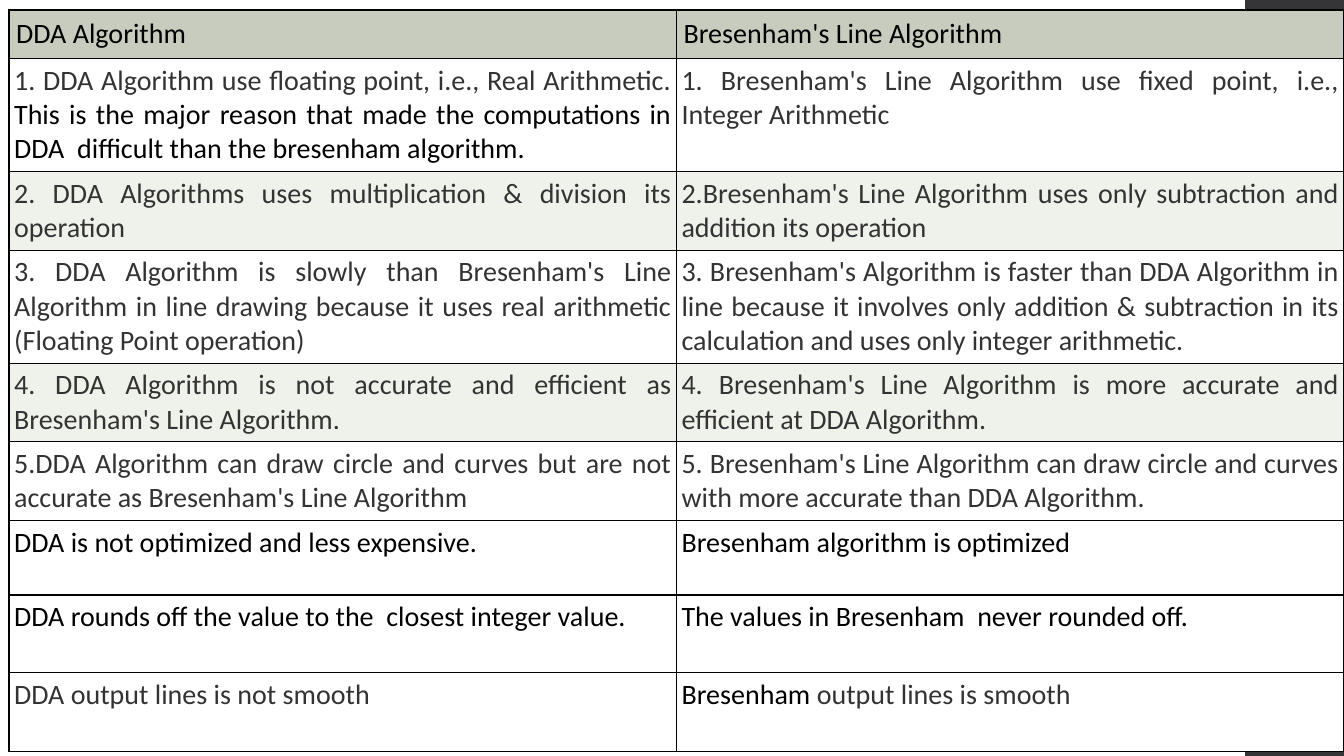
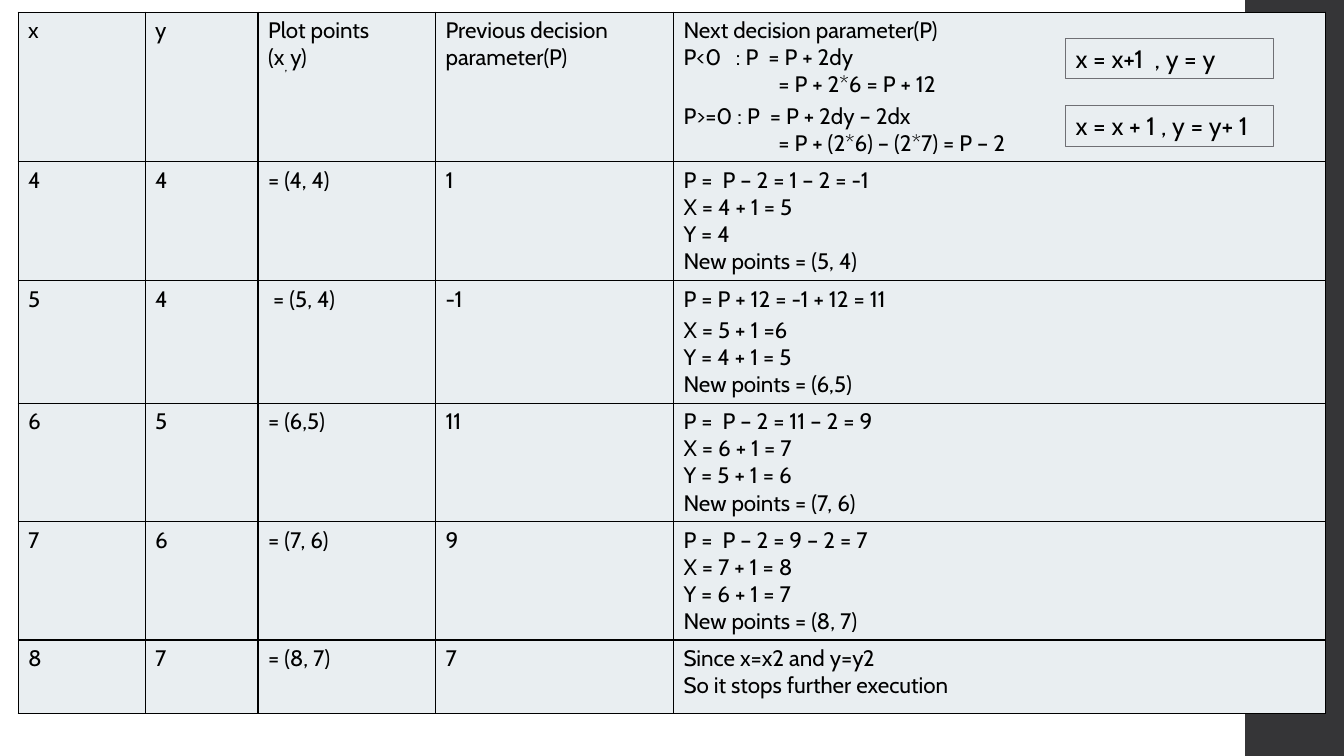
from dataclasses import dataclass
from lxml.etree import SubElement
from pptx import Presentation
from pptx.dml.color import RGBColor
from pptx.enum.shapes import MSO_SHAPE
from pptx.enum.text import PP_ALIGN
from pptx.oxml import parse_xml
from pptx.oxml.ns import nsdecls, qn
from pptx.util import Inches, Pt


@dataclass(frozen=True)
class Theme:
    ink: str = "000000"
    grey: str = "333333"
    band: str = "353537"
    frame: str = "6F6F74"
    head: str = "C7CCBE"
    white: str = "FFFFFF"
    tint: str = "EFF1EB"
    pale: str = "E9EEF1"
    prose: str = "Calibri"
    math: str = "Cabin"
    large: int = 20
    label: int = 18
    small: int = 16
    rule: int = 1


THEME = Theme()

DIFFS = [
    ("DDA Algorithm", "Bresenham's Line Algorithm"),
    ([("1. DDA Algorithm use floating point, i.e., Real Arithmetic.", "grey"),
      (" This is the major reason that made the computations in DDA  difficult than the bresenham algorithm.", "ink")],
     [("1. Bresenham's Line Algorithm use fixed point, i.e., Integer Arithmetic", "grey")]),
    ([("2. DDA Algorithms uses multiplication & division its operation", "grey")],
     [("2.Bresenham's Line Algorithm uses only subtraction and addition its operation", "grey")]),
    ([("3. DDA Algorithm is slowly than Bresenham's Line Algorithm in line drawing because it uses real arithmetic (Floating Point operation)", "grey")],
     [("3. Bresenham's Algorithm is faster than DDA Algorithm in line because it involves only addition & subtraction in its calculation and uses only integer arithmetic.", "grey")]),
    ([("4. DDA Algorithm is not accurate and efficient as Bresenham's Line Algorithm.", "grey")],
     [("4. Bresenham's Line Algorithm is more accurate and efficient at DDA Algorithm.", "grey")]),
    ([("5.DDA Algorithm can draw circle and curves but are not accurate as Bresenham's Line Algorithm", "grey")],
     [("5. Bresenham's Line Algorithm can draw circle and curves with more accurate than DDA Algorithm.", "grey")]),
    ("DDA is not optimized and less expensive.", "Bresenham algorithm is optimized"),
    ("DDA rounds off the value to the  closest integer value.", "The values in Bresenham  never rounded off."),
    ([("DDA output lines is not smooth", "grey")],
     [("Bresenham", "ink"), (" output lines is smooth", "grey")]),
]
DIFF_COLS = [6.62, 6.62]
DIFF_ROWS = [0.48, 1.12, 0.77, 1.12, 0.77, 0.77, 0.74, 0.77, 0.78]
DIFF_FILLS = [THEME.head] + [THEME.tint if n in (2, 4) else THEME.white for n in range(1, len(DIFFS))]

STEPS = [
    (["x"], ["y"],
     ["Plot points", [("(x", "ink"), (", ", "sub"), ("y)", "ink")]],
     ["Previous decision parameter(P)"],
     ["Next decision parameter(P)",
      "P<0\t: P  = P + 2dy",
      "= P + 2*6 = P + 12",
      "P>=0 : P  = P + 2dy – 2dx",
      "= P + (2*6) – (2*7) = P – 2"]),
    (["4"], ["4"], ["= (4, 4)"], ["1"],
     ["P =  P – 2 = 1 – 2 = -1", "X = 4 + 1 = 5", "Y = 4", "New points = (5, 4)"]),
    (["5"], ["4"], [" = (5, 4)"], ["-1"],
     ["P = P + 12 = -1 + 12 = 11", "X = 5 + 1 =6", "Y = 4 + 1 = 5", "New points = (6,5)"]),
    (["6"], ["5"], ["= (6,5)"], ["11"],
     ["P =  P – 2 = 11 – 2 = 9", "X = 6 + 1 = 7", "Y = 5 + 1 = 6", "New points = (7, 6)"]),
    (["7"], ["6"], ["= (7, 6)"], ["9"],
     ["P =  P – 2 = 9 – 2 = 7", "X = 7 + 1 = 8", "Y = 6 + 1 = 7", "New points = (8, 7)"]),
    (["8"], ["7"], ["= (8, 7)"], ["7"],
     ["Since x=x2 and y=y2", "So it stops further execution"]),
]
STEP_COLS = [1.26, 1.12, 1.76, 2.36, 6.47]
STEP_ROWS = [1.47, 1.18, 1.21, 1.17, 1.17, 0.73]
STEP_FILLS = [THEME.pale] * len(STEPS)

RULES = [(1.05, "x = x + 1 , y = y+ 1"), (0.38, "x = x+1  , y = y")]


def rgb(code):
    return RGBColor.from_string(code)


def write(para, text, face, size):
    parts = [(text, "ink")] if isinstance(text, str) else text
    for words, kind in parts:
        run = para.add_run()
        run.text = words
        run.font.name = face
        run.font.size = Pt(size)
        run.font.color.rgb = rgb(THEME.grey if kind == "grey" else THEME.ink)
        if kind == "sub":
            run.font._element.set("baseline", "-25000")


def border(cell):
    props = cell._tc.get_or_add_tcPr()
    for spot, side in enumerate("LRTB"):
        line = parse_xml(
            f'<a:ln{side} {nsdecls("a")} w="{Pt(THEME.rule)}"><a:solidFill>'
            f'<a:srgbClr val="{THEME.ink}"/></a:solidFill></a:ln{side}>')
        props.insert(spot, line)


def add_grid(slide, left, top, cols, rows, data, fills, fill_cell):
    frame = slide.shapes.add_table(
        len(rows), len(cols), Inches(left), Inches(top), Inches(sum(cols)), Inches(sum(rows)))
    grid = frame.table
    grid.first_row = grid.horz_banding = False
    for col, width in zip(grid.columns, cols):
        col.width = Inches(width)
    for row, height, texts, tone in zip(grid.rows, rows, data, fills):
        row.height = Inches(height)
        for cell, text in zip(row.cells, texts):
            cell.fill.solid()
            cell.fill.fore_color.rgb = rgb(tone)
            border(cell)
            fill_cell(cell, text, tone)


def fill_diff(cell, text, tone):
    pad = Inches(0.07 if tone == THEME.head else 0.05)
    cell.margin_left = cell.margin_right = cell.margin_top = cell.margin_bottom = pad
    para = cell.text_frame.paragraphs[0]
    para.alignment = PP_ALIGN.JUSTIFY
    write(para, text, THEME.prose, THEME.large)


def fill_step(cell, lines, tone):
    frame = cell.text_frame
    for n, text in enumerate(lines):
        para = frame.add_paragraph() if n else frame.paragraphs[0]
        write(para, text, THEME.math, THEME.small)
        if "P + 12" in text:
            para.space_after = Pt(3)
        props = para._p.get_or_add_pPr()
        if text[0] == "=" and len(lines) > 1:
            props.set("marL", str(Inches(0.94)))
            props.set("indent", "0")
        if "\t" in text:
            tabs = SubElement(props, qn("a:tabLst"))
            SubElement(tabs, qn("a:tab"), pos=str(Inches(0.52)), algn="l")


def add_rule(slide, top, text):
    box = slide.shapes.add_textbox(Inches(10.57), Inches(top), Inches(2.06), Inches(0.4))
    box.line.color.rgb = rgb(THEME.frame)
    box.line.width = Pt(0.75)
    box.text_frame.word_wrap = True
    write(box.text_frame.paragraphs[0], text, THEME.math, THEME.label)


def add_slide(deck):
    slide = deck.slides.add_slide(deck.slide_layouts[6])
    left = Inches(12.35)
    band = slide.shapes.add_shape(
        MSO_SHAPE.RECTANGLE, left, 0, deck.slide_width - left, deck.slide_height)
    band.shadow.inherit = False
    band.fill.solid()
    band.fill.fore_color.rgb = rgb(THEME.band)
    band.line.fill.background()
    return slide


def main():
    deck = Presentation()
    deck.slide_width, deck.slide_height = Inches(13.33), Inches(7.5)
    add_grid(add_slide(deck), 0.09, 0.1, DIFF_COLS, DIFF_ROWS, DIFFS, DIFF_FILLS, fill_diff)
    trace = add_slide(deck)
    add_grid(trace, 0.18, 0.12, STEP_COLS, STEP_ROWS, STEPS, STEP_FILLS, fill_step)
    for top, text in RULES:
        add_rule(trace, top, text)
    deck.save("out.pptx")


if __name__ == "__main__":
    main()
